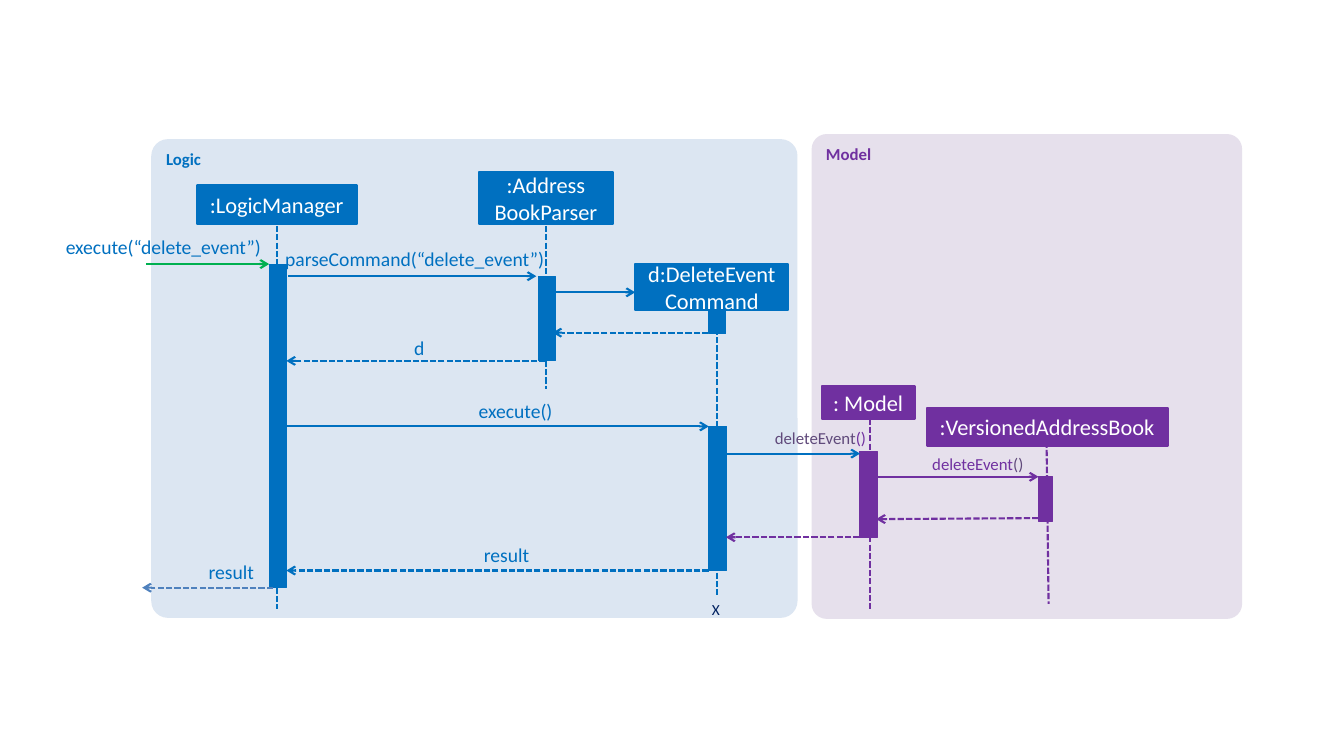
from dataclasses import dataclass

from lxml.etree import SubElement
from pptx import Presentation
from pptx.dml.color import RGBColor
from pptx.enum.dml import MSO_LINE
from pptx.enum.shapes import MSO_CONNECTOR, MSO_SHAPE
from pptx.enum.text import MSO_ANCHOR, PP_ALIGN
from pptx.oxml.ns import qn
from pptx.util import Inches, Pt


@dataclass(frozen=True)
class Theme:
    font: str = "Calibri"
    blue: str = "0070C0"
    purple: str = "7030A0"
    mauve: str = "604A7B"
    green: str = "00B050"
    steel: str = "4F81BD"
    navy: str = "002060"
    white: str = "FFFFFF"
    pale_blue: str = "DCE6F2"
    pale_purple: str = "E6E0EC"
    head: float = 16
    call: float = 14
    small: float = 12
    end: float = 11
    stroke: float = 1.5
    thin: float = 0.75


T = Theme()


@dataclass(frozen=True)
class Box:
    left: float
    top: float
    width: float
    height: float


@dataclass(frozen=True)
class Panel:
    box: Box
    name: str
    fill: str
    ink: str


@dataclass(frozen=True)
class Head:
    box: Box
    lines: tuple[str, ...]
    color: str = T.blue
    split: bool = True  # each line is a paragraph of its own


@dataclass(frozen=True)
class Line:
    x1: float
    y1: float
    x2: float
    y2: float
    color: str = T.blue
    dashed: bool = False
    arrow: bool = True


@dataclass(frozen=True)
class Label:
    box: Box
    runs: tuple[tuple[str, str], ...]
    size: float = T.call


def call(x1: float, x2: float, y: float, color: str = T.blue) -> Line:
    return Line(x1, y, x2, y, color)


def reply(x1: float, x2: float, y: float, color: str = T.blue) -> Line:
    return Line(x1, y, x2, y, color, dashed=True)


def life(x: float, top: float, end: float, color: str = T.blue, drift: float = 0) -> Line:
    """Dashed lifeline; drift moves its lower end sideways."""
    return Line(x, top, x + drift, end, color, dashed=True, arrow=False)


PANELS = [
    Panel(Box(8.05, 1.33, 4.27, 4.81), "Model", T.pale_purple, T.purple),
    Panel(Box(1.5, 1.38, 6.41, 4.75), "Logic", T.pale_blue, T.blue),
]
LIVES = [
    life(2.75, 2.24, 6.04),
    life(5.42, 2.24, 3.86),
    life(7.11, 3.01, 5.9),
    life(8.63, 4.15, 6.04, T.purple),
    life(10.38, 4.38, 5.99, T.purple, 0.02),
]
BARS = [
    (Box(2.67, 2.62, 0.17, 3.21), T.blue),
    (Box(5.34, 2.74, 0.17, 0.84), T.blue),
    (Box(7.03, 3.01, 0.17, 0.3), T.blue),
    (Box(7.03, 4.23, 0.18, 1.43), T.blue),
    (Box(8.52, 4.48, 0.18, 0.85), T.purple),
    (Box(10.3, 4.73, 0.14, 0.44), T.purple),
]
HEADS = [
    Head(Box(1.95, 1.84, 1.59, 0.38), (":LogicManager",)),
    Head(Box(4.75, 1.71, 1.33, 0.51), (":Address", "BookParser")),
    Head(Box(6.3, 2.62, 1.52, 0.46), ("d:DeleteEvent", "Command"), split=False),
    Head(Box(8.15, 3.83, 0.92, 0.33), (": Model",), T.purple),
    Head(Box(9.19, 4.05, 2.39, 0.37), (":VersionedAddressBook",), T.purple),
]
CALLS = [
    call(1.45, 2.67, 2.62, T.green),
    call(2.86, 5.32, 2.74),
    call(5.51, 6.3, 2.9),
    reply(7.11, 5.48, 3.3),
    reply(5.41, 2.84, 3.58),
    call(2.84, 7.03, 4.23),
    call(7.21, 8.53, 4.5),
    call(8.69, 10.3, 4.73, T.purple),
    Line(10.3, 5.14, 8.69, 5.15, T.purple, dashed=True),
    reply(8.61, 7.2, 5.33, T.purple),
    reply(7.03, 2.84, 5.66),
    reply(2.71, 1.41, 5.83, T.steel),
]
LABELS = [
    Label(Box(0.49, 2.33, 2.1, 0.23), (("execute(“delete_event”)", T.blue),)),
    Label(Box(2.76, 2.45, 2.64, 0.24), (("parseCommand(“delete_event”)", T.blue),)),
    Label(Box(3.97, 3.33, 0.24, 0.24), (("d", T.blue),)),
    Label(Box(4.54, 3.96, 0.94, 0.24), (("execute()", T.blue),)),
    Label(Box(7.63, 4.24, 0.96, 0.2), (("deleteEvent", T.mauve), ("()", T.purple)), T.small),
    Label(Box(9.04, 4.5, 1.11, 0.2), (("deleteEvent", T.purple), ("()", T.mauve)), T.small),
    Label(Box(4.57, 5.39, 0.68, 0.24), (("result", T.blue),)),
    Label(Box(1.69, 5.56, 0.83, 0.24), (("result", T.blue),)),
    Label(Box(7.06, 5.95, 0.19, 0.19), (("X", T.navy),), T.end),
]


def place(box: Box) -> tuple[int, int, int, int]:
    return Inches(box.left), Inches(box.top), Inches(box.width), Inches(box.height)


def write(para, text: str, size: float, color: str, bold: bool = False) -> None:
    run = para.add_run()
    run.text = text
    run.font.name, run.font.size, run.font.bold = T.font, Pt(size), bold
    run.font.color.rgb = RGBColor.from_string(color)


def block(slide, box: Box, fill: str, stroke: float = 0, kind=MSO_SHAPE.RECTANGLE):
    shape = slide.shapes.add_shape(kind, *place(box))
    shape.shadow.inherit = False
    shape.fill.solid()
    shape.fill.fore_color.rgb = RGBColor.from_string(fill)
    if stroke:
        shape.line.color.rgb = RGBColor.from_string(fill)
        shape.line.width = Pt(stroke)
    else:
        shape.line.fill.background()
    return shape


def draw_panel(slide, panel: Panel) -> None:
    shape = block(slide, panel.box, panel.fill, kind=MSO_SHAPE.ROUNDED_RECTANGLE)
    shape.adjustments[0] = 0.035
    frame = shape.text_frame
    frame.vertical_anchor = MSO_ANCHOR.TOP
    frame.paragraphs[0].alignment = PP_ALIGN.LEFT
    write(frame.paragraphs[0], panel.name, T.small, panel.ink, bold=True)


def draw_head(slide, head: Head) -> None:
    frame = block(slide, head.box, head.color, T.stroke).text_frame
    frame.word_wrap = True
    frame.margin_left = frame.margin_right = Inches(0.05)
    frame.vertical_anchor = MSO_ANCHOR.MIDDLE
    para = frame.paragraphs[0]
    for index, text in enumerate(head.lines):
        if index and head.split:
            para = frame.add_paragraph()
        elif index:
            para.add_line_break()
        para.alignment = PP_ALIGN.CENTER
        write(para, text, T.head, T.white)


def draw_line(slide, line: Line) -> None:
    ends = map(Inches, (line.x1, line.y1, line.x2, line.y2))
    link = slide.shapes.add_connector(MSO_CONNECTOR.STRAIGHT, *ends)
    link.line.color.rgb = RGBColor.from_string(line.color)
    link.line.width = Pt(T.stroke)
    if line.dashed:
        link.line.dash_style = MSO_LINE.SQUARE_DOT
    if line.arrow:
        SubElement(link.line._get_or_add_ln(), qn("a:tailEnd"), type="arrow")
    SubElement(link._element.spPr, qn("a:effectLst"))


def draw_label(slide, label: Label) -> None:
    frame = slide.shapes.add_textbox(*place(label.box)).text_frame
    frame.word_wrap = True
    frame.margin_left = frame.margin_right = frame.margin_top = frame.margin_bottom = 0
    para = frame.paragraphs[0]
    para.alignment = PP_ALIGN.LEFT if label.size == T.end else PP_ALIGN.RIGHT
    for text, color in label.runs:
        write(para, text, label.size, color)


def main() -> None:
    deck = Presentation()
    deck.slide_width, deck.slide_height = Inches(13.33), Inches(7.5)
    slide = deck.slides.add_slide(deck.slide_layouts[6])
    for panel in PANELS:
        draw_panel(slide, panel)
    for line in LIVES:
        draw_line(slide, line)
    for box, color in BARS:
        block(slide, box, color, T.thin)
    for head in HEADS:
        draw_head(slide, head)
    for line in CALLS:
        draw_line(slide, line)
    for label in LABELS:
        draw_label(slide, label)
    deck.save("out.pptx")


if __name__ == "__main__":
    main()
